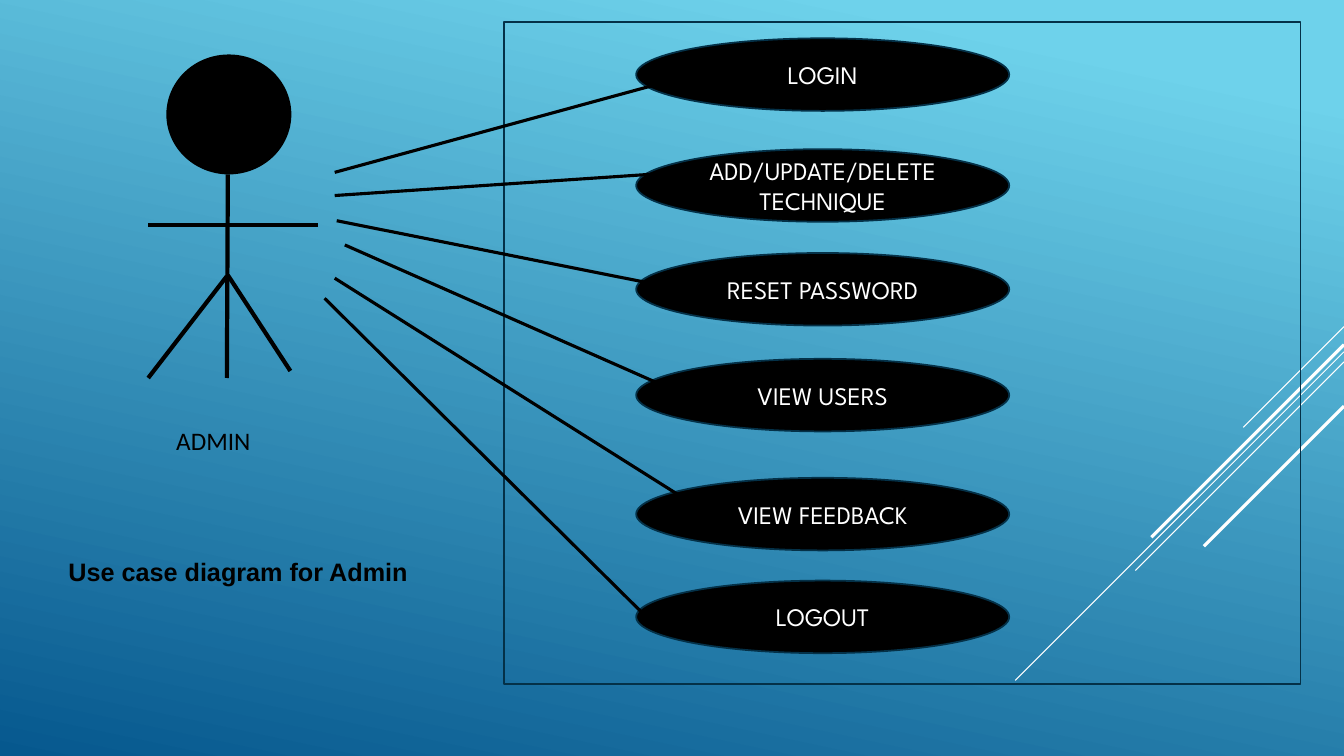
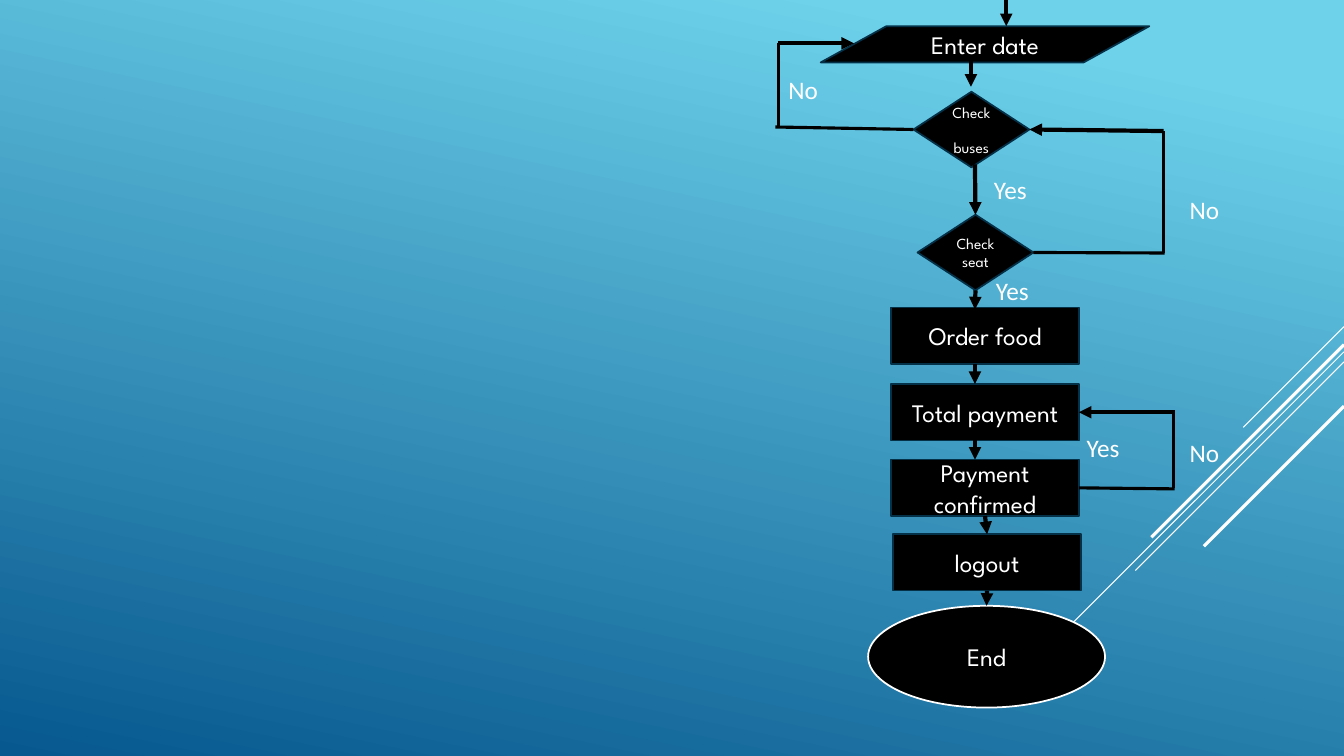
from lxml import etree
from pptx import Presentation
from pptx.dml.color import RGBColor
from pptx.enum.shapes import MSO_CONNECTOR, MSO_SHAPE
from pptx.enum.text import MSO_ANCHOR, PP_ALIGN
from pptx.oxml.ns import qn
from pptx.util import Inches, Pt

STRAIGHT = MSO_CONNECTOR.STRAIGHT
OVAL, BOX, DIAMOND = MSO_SHAPE.OVAL, MSO_SHAPE.RECTANGLE, MSO_SHAPE.DIAMOND
DATA = MSO_SHAPE.FLOWCHART_DATA
CENTER, LEFT = PP_ALIGN.CENTER, PP_ALIGN.LEFT
MIDDLE, TOP = MSO_ANCHOR.MIDDLE, MSO_ANCHOR.TOP
SIDE_TOP, SIDE_LEFT, SIDE_BOTTOM, SIDE_RIGHT = range(4)

BLACK, WHITE, NAVY = "000000", "FFFFFF", "043148"
SKY, OCEAN = "6ED2EB", "06588E"
rgb = RGBColor.from_string

# Text formats
NODE_FONT = {"name": "League Spartan", "size": Pt(18)}
SMALL_FONT = {"name": "League Spartan", "size": Pt(11)}
LABEL_FONT = {"name": "Calibri", "size": Pt(18)}
CAPTION_FONT = {"name": "Arial", "size": Pt(18), "bold": True}
LABEL_SPACING = {"alignment": LEFT, "line_spacing": 1.07, "space_after": Pt(8)}


def add_block(slide, kind, box, text="", font=NODE_FONT, color=WHITE,
              fill=BLACK, outline=NAVY, spacing=None):
    """Add a shape, or a text box when kind is None."""
    box = [Inches(length) for length in box]
    if kind is None:
        shape = slide.shapes.add_textbox(*box)
    else:
        shape = slide.shapes.add_shape(kind, *box)
        shape.shadow.inherit = False
        for part, part_color in ((shape.fill, fill), (shape.line.fill, outline)):
            if part_color:
                part.solid()
                part.fore_color.rgb = rgb(part_color)
            else:
                part.background()
        if outline:
            shape.line.width = Pt(1.25)
    if text:
        frame = shape.text_frame
        frame.word_wrap = True
        frame.vertical_anchor = TOP if kind is None else MIDDLE
        if kind == DIAMOND:
            frame.margin_left = frame.margin_right = 0
        frame.text = text
        for paragraph in frame.paragraphs:
            for name, value in (spacing or {"alignment": CENTER}).items():
                setattr(paragraph, name, value)
            for run in paragraph.runs:
                run.font.color.rgb = rgb(color)
                for name, value in font.items():
                    setattr(run.font, name, value)
    return shape


def add_line(slide, start, end, width, color=BLACK, arrow=False):
    connector = slide.shapes.add_connector(
        STRAIGHT, *[Inches(length) for length in (*start, *end)])
    connector.line.color.rgb = rgb(color)
    connector.line.width = Pt(width)
    properties = connector.element.spPr
    if arrow:
        etree.SubElement(properties.find(qn("a:ln")), qn("a:tailEnd"), type="triangle")
    etree.SubElement(properties, qn("a:effectLst"))
    return connector


presentation = Presentation()
presentation.slide_width, presentation.slide_height = Inches(13.33), Inches(7.5)

# Shared background
background = presentation.slide_master.background.fill
background.gradient()
background.gradient_angle = 258
for stop, position, color in zip(background.gradient_stops, (0.1, 1), (SKY, OCEAN)):
    stop.position = position
    stop.color.rgb = rgb(color)

# Shared diagonal rays: y at the right edge, horizontal run, width
RAYS = [(3.24, 1, 0.75), (3.49, 3.26, 0.75), (3.59, 2.07, 0.75),
        (3.42, 1.91, 2.25), (4.03, 1.39, 2.25)]
slides = []
for _ in range(2):
    slide = presentation.slides.add_slide(presentation.slide_layouts[6])
    for y, run_length, width in RAYS:
        add_line(slide, (13.33, y), (13.33 - run_length, y + run_length), width, WHITE)
    slides.append(slide)
use_case_slide, flow_slide = slides

# Slide 1: actor
add_block(use_case_slide, OVAL, (1.65, 0.54, 1.24, 1.19), outline=None)
LIMBS = [((2.26, 1.73), (2.25, 3.75)), ((1.47, 2.23), (3.15, 2.23)),
         ((2.25, 2.74), (1.47, 3.75)), ((2.88, 3.68), (2.26, 2.73))]
for start, end in LIMBS:
    add_line(use_case_slide, start, end, 3)

# Slide 1: system boundary, use cases and their links to the actor
add_block(use_case_slide, BOX, (5, 0.22, 7.9, 6.57), fill=None)
USE_CASES = [
    ("LOGIN", 0.38, (3.32, 1.71), (6.58, 0.82)),
    ("ADD/UPDATE/DELETE TECHNIQUE", 1.48, (3.32, 1.94), (6.74, 1.71)),
    ("RESET PASSWORD", 2.51, (3.34, 2.19), (6.7, 2.86)),
    ("VIEW USERS", 3.56, (3.42, 2.43), (6.68, 3.87)),
    ("VIEW FEEDBACK", 4.74, (3.32, 2.76), (7, 5.08)),
    ("LOGOUT", 5.76, (3.22, 2.96), (6.4, 6.11)),
]
for text, top, start, end in USE_CASES:
    add_block(use_case_slide, OVAL, (6.31, top, 3.7, 0.72), text)
    add_line(use_case_slide, start, end, 2.25)

# Slide 1: actor name and caption
add_block(use_case_slide, None, (1.65, 4.15, 2, 0.41), "ADMIN", LABEL_FONT, BLACK,
          spacing=LABEL_SPACING)
add_block(use_case_slide, None, (0.58, 5.47, 4.2, 0.41), "Use case diagram for Admin",
          CAPTION_FONT, BLACK, spacing={"alignment": LEFT})

# Slide 2: flowchart steps
add_block(flow_slide, DATA, (8.14, 0.26, 3.26, 0.36), "Enter date")
check_buses = add_block(flow_slide, DIAMOND, (9.06, 0.91, 1.15, 0.75), "Check\nbuses",
                        SMALL_FONT)
check_buses.text_frame.paragraphs[0].space_after = Pt(12)
check_seat = add_block(flow_slide, DIAMOND, (9.1, 2.13, 1.15, 0.75), "Check seat",
                       SMALL_FONT)
STEPS = [("Order food", 8.84, 3.05), ("Total payment", 8.84, 3.81),
         ("Payment confirmed", 8.84, 4.56), ("logout", 8.86, 5.3)]
order, total, confirmed, logout = [
    add_block(flow_slide, BOX, (left, top, 1.86, 0.56), text) for text, left, top in STEPS]
finish = add_block(flow_slide, OVAL, (8.61, 6.01, 2.35, 1.01), "End", outline=WHITE)

# Slide 2: arrows as start, end, joined start, joined end
ARROWS = [
    ((9.98, 0), (9.98, 0.26), None, None),
    ((9.63, 0.57), (9.63, 0.86), None, None),
    ((9.67, 1.63), (9.67, 2.13), None, (check_seat, SIDE_TOP)),
    ((9.67, 2.88), (9.67, 3.07), (check_seat, SIDE_BOTTOM), None),
    ((9.67, 3.61), (9.67, 3.81), None, None),
    ((9.67, 4.37), (9.67, 4.56), None, None),
    ((9.77, 5.12), (9.79, 5.3), (confirmed, SIDE_BOTTOM), (logout, SIDE_TOP)),
    ((9.79, 5.86), (9.79, 6.01), (logout, SIDE_BOTTOM), (finish, SIDE_TOP)),
    ((11.54, 1.3), (10.21, 1.29), None, (check_buses, SIDE_RIGHT)),
    ((7.72, 0.43), (8.47, 0.43), None, None),
    ((11.65, 4.09), (10.7, 4.09), None, (total, SIDE_RIGHT)),
]
# Slide 2: plain parts of the loops back
LOOP_LINES = [
    ((10.25, 2.51), (11.55, 2.51), (check_seat, SIDE_RIGHT), None),
    ((11.54, 1.3), (11.54, 2.51), None, None),
    ((7.69, 1.26), (9.06, 1.28), None, (check_buses, SIDE_LEFT)),
    ((7.72, 0.43), (7.72, 1.26), None, None),
    ((11.64, 4.84), (11.64, 4.1), None, None),
    ((10.7, 4.84), (11.65, 4.85), (confirmed, SIDE_RIGHT), None),
]
for lines, width, arrow in ((ARROWS, 3, True), (LOOP_LINES, 2.25, False)):
    for start, end, joined_start, joined_end in lines:
        connector = add_line(flow_slide, start, end, width, arrow=arrow)
        if joined_start:
            connector.begin_connect(*joined_start)
        if joined_end:
            connector.end_connect(*joined_end)

# Slide 2: branch labels
BRANCHES = [("No", 7.72, 0.67), ("No", 11.7, 1.86), ("Yes", 9.76, 1.66),
            ("Yes", 9.78, 2.66), ("No", 11.7, 4.27), ("Yes", 10.68, 4.22)]
for text, left, top in BRANCHES:
    add_block(flow_slide, None, (left, top, 0.8, 0.41), text, LABEL_FONT,
              spacing=LABEL_SPACING)

presentation.save("out.pptx")
